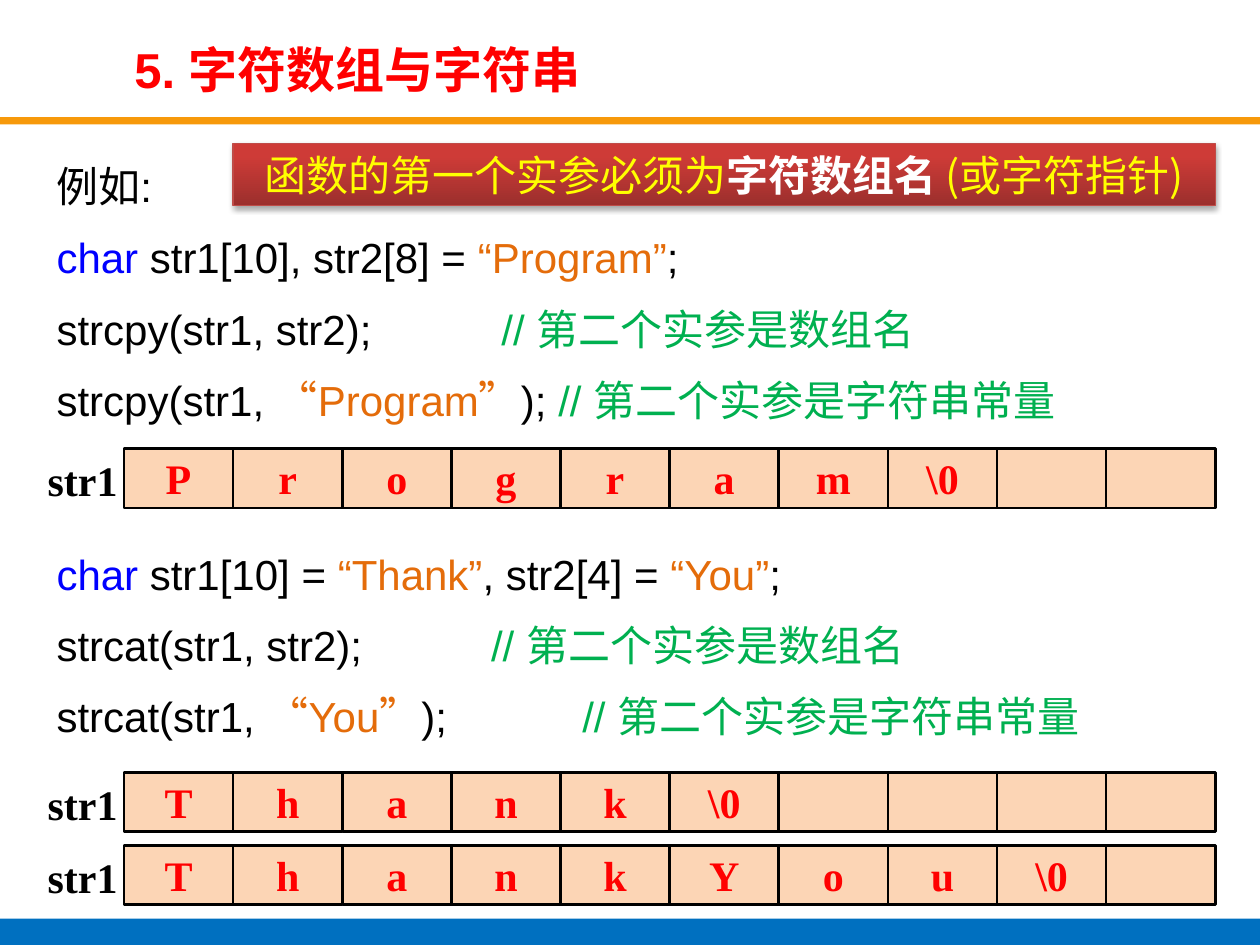
from lxml import etree
from pptx import Presentation
from pptx.dml.color import RGBColor
from pptx.enum import shapes, text
from pptx.oxml import ns
from pptx.util import Cm, Pt

COLORS = {
    "black": "000000", "white": "FFFFFF", "red": "FF0000", "yellow": "FFFF00",
    "keyword": "0000FF", "string": "E46C0A", "comment": "00B050",
    "rule": "F7990A", "footer": "0070C0", "cell": "FCD5B5",
    "banner_dark": "9C2F2D", "banner_light": "CE3B37", "banner_edge": "BF4C48",
}

COPY_EXAMPLE = [
    (None, [("例如:", "black")]),
    (None, [("char ", "keyword"), ("str1[10], str2[8] = ", "black"),
            ("“Program”", "string"), (";", "black")]),
    (8.97, [("strcpy(str1, str2);\t", "black"), ("// 第二个实参是数组名", "comment")]),
    (None, [("strcpy(str1, ", "black"), ("“Program”", "string"), (");", "black"),
            (" // 第二个实参是字符串常量", "comment")]),
]
CONCAT_EXAMPLE = [
    (None, [("char", "keyword"), (" str1[10] = ", "black"), ("“Thank”", "string"),
            (", str2[4] = ", "black"), ("“You”", "string"), (";", "black")]),
    (8.76, [("strcat(str1, str2);\t", "black"), ("// 第二个实参是数组名", "comment")]),
    (10.6, [("strcat(str1, ", "black"), ("“You”", "string"), (");\t", "black"),
            ("// 第二个实参是字符串常量", "comment")]),
]
ARRAYS = [
    (9.04, ["P", "r", "o", "g", "r", "a", "m", "\\0"]),
    (15.57, ["T", "h", "a", "n", "k", "\\0"]),
    (17.04, ["T", "h", "a", "n", "k", "Y", "o", "u", "\\0"]),
]
ARRAY_LENGTH = 10


def rgb(name):
    return RGBColor.from_string(COLORS[name])


def style(font, size, face, color=None, bold=False):
    font.size, font.name, font.bold = Pt(size), face, bold
    if color:
        font.color.rgb = rgb(color)


def add_runs(paragraph, runs):
    for words, color in runs:
        run = paragraph.add_run()
        run.text = words
        run.font.color.rgb = rgb(color)


def add_box(slide, left, top, width, height, color):
    box = slide.shapes.add_shape(
        shapes.MSO_SHAPE.RECTANGLE, Cm(left), Cm(top), Cm(width), Cm(height))
    box.shadow.inherit = False
    box.fill.solid()
    box.fill.fore_color.rgb = rgb(color)
    box.line.fill.background()
    return box


def add_textbox(slide, left, top, width, height, wrap=True):
    frame = slide.shapes.add_textbox(
        Cm(left), Cm(top), Cm(width), Cm(height)).text_frame
    frame.word_wrap = wrap
    return frame


def add_header(slide, left, top, width):
    add_box(slide, left, top + 2.36, width, 0.15, "rule")
    title = add_textbox(slide, left + 2.46, top + 0.69, 17.42, 1.4)
    title.vertical_anchor = text.MSO_ANCHOR.MIDDLE
    heading = title.paragraphs[0]
    heading.text = "5. 字符数组与字符串"
    style(heading.font, 28, "Arial", "red", True)


def add_tab_stop(paragraph, position):
    properties = paragraph._p.get_or_add_pPr()
    stops = etree.SubElement(properties, ns.qn("a:tabLst"))
    etree.SubElement(stops, ns.qn("a:tab"), pos=str(int(Cm(position))), algn="l")


def add_code(slide, left, top, width, height, lines):
    code = add_textbox(slide, left, top, width, height)
    for index, (comment_at, runs) in enumerate(lines):
        line = code.add_paragraph() if index else code.paragraphs[0]
        line.alignment = text.PP_ALIGN.JUSTIFY
        line.line_spacing = 1.2
        line.space_before = Pt(6.3)
        if comment_at:
            add_tab_stop(line, comment_at)
        style(line.font, 24, "Arial")
        add_runs(line, runs)


def add_array(slide, left, top, width, height, values):
    label = add_textbox(slide, left, top, 1.93, 1.27, wrap=False).paragraphs[0]
    label.text = "str1"
    style(label.font, 24, "Times New Roman", "black", True)
    cells_left = left + 1.79
    cell_width = (width - 1.79) / ARRAY_LENGTH
    for index in range(ARRAY_LENGTH):
        cell = add_box(slide, cells_left + index * cell_width, top,
                       cell_width, height, "cell")
        cell.line.color.rgb = rgb("black")
        cell.line.width = Pt(1.5)
        if index < len(values):
            letter = cell.text_frame.paragraphs[0]
            letter.text = values[index]
            letter.alignment = text.PP_ALIGN.CENTER
            style(letter.font, 24, "Times New Roman", "red", True)


def add_drop_shadow(shape):
    effects = shape._element.spPr.find(ns.qn("a:effectLst"))
    shadow = etree.SubElement(
        effects, ns.qn("a:outerShdw"), blurRad=str(Pt(3.1)), dist=str(Pt(1.8)),
        dir="5400000", rotWithShape="0")
    tint = etree.SubElement(shadow, ns.qn("a:srgbClr"), val=COLORS["black"])
    etree.SubElement(tint, ns.qn("a:alpha"), val="35000")


def add_banner(slide, left, top, width, height):
    banner = add_box(slide, left, top, width, height, "banner_dark")
    banner.fill.gradient()
    banner.fill.gradient_angle = 90
    dark, light = banner.fill.gradient_stops
    dark.color.rgb, dark.position = rgb("banner_dark"), 0
    light.color.rgb, light.position = rgb("banner_light"), 0.8
    banner.line.color.rgb = rgb("banner_edge")
    banner.line.width = Pt(0.75)
    add_drop_shadow(banner)
    banner.text_frame.word_wrap = True
    note = banner.text_frame.paragraphs[0]
    note.alignment = text.PP_ALIGN.CENTER
    style(note.font, 24, "Noto Sans CJK SC")
    add_runs(note, [("函数的第一个实参必须为", "yellow"),
                    ("字符数组名 ", "white"), ("(或字符指针)", "yellow")])
    note.runs[1].font.bold = True


def main():
    deck = Presentation()
    deck.slide_width, deck.slide_height = Cm(25.4), Cm(19.05)
    slide = deck.slides.add_slide(deck.slide_layouts[6])
    add_header(slide, 0, 0, 25.4)
    add_box(slide, 0, 18.52, 25.4, 0.53, "footer")
    add_code(slide, 0.89, 2.9, 23.6, 5.9, COPY_EXAMPLE)
    add_code(slide, 0.89, 10.72, 23.6, 4.6, CONCAT_EXAMPLE)
    for top, values in ARRAYS:
        add_array(slide, 0.71, top, 23.79, 1.2, values)
    add_banner(slide, 4.7, 2.9, 19.8, 1.24)
    deck.save("out.pptx")


if __name__ == "__main__":
    main()
